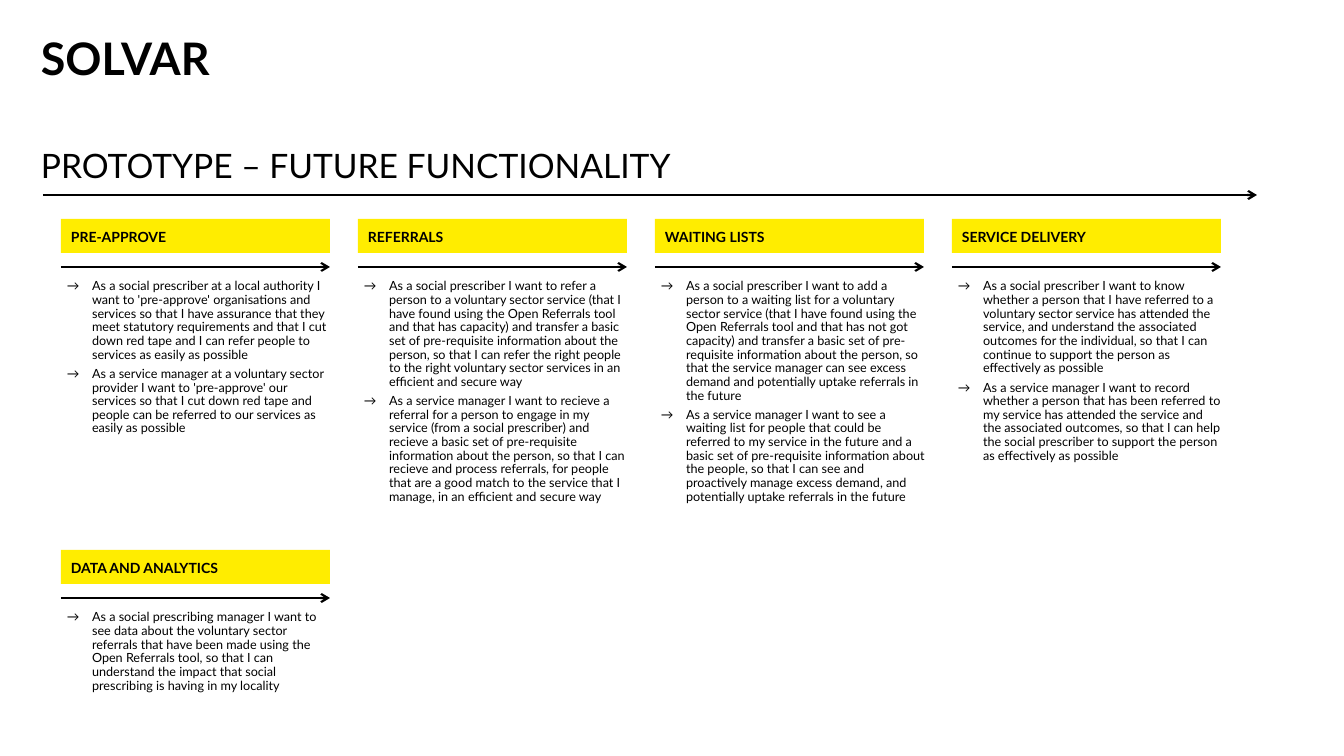
from dataclasses import dataclass

from lxml import etree
from pptx import Presentation
from pptx.dml.color import RGBColor
from pptx.enum.shapes import MSO_CONNECTOR, MSO_SHAPE
from pptx.oxml.ns import qn
from pptx.util import Emu, Pt

RECTANGLE = MSO_SHAPE.RECTANGLE
STRAIGHT = MSO_CONNECTOR.STRAIGHT
PIXELS_PER_INCH = 100.8
FONT = "Lato"
COLOURS = {"ink": "000000", "band": "FFED00"}

GRID_LEFT, GRID_TOP = 61, 219
COLUMN_PITCH, ROW_PITCH = 297, 331
COLUMNS = 4
BAND_WIDTH, BAND_HEIGHT = 269, 34


@dataclass(frozen=True)
class Theme:
    """A functional area and its user stories."""
    heading: str
    stories: tuple[str, ...]


THEMES = (
    Theme("PRE-APPROVE", (
        "As a social prescriber at a local authority I want to 'pre-approve' organisations and "
        "services so that I have assurance that they meet statutory requirements and that I cut "
        "down red tape and I can refer people to services as easily as possible",
        "As a service manager at a voluntary sector provider I want to 'pre-approve' our services "
        "so that I cut down red tape and people can be referred to our services as easily as "
        "possible",
    )),
    Theme("REFERRALS", (
        "As a social prescriber I want to refer a person to a voluntary sector service (that I "
        "have found using the Open Referrals tool and that has capacity) and transfer a basic set "
        "of pre-requisite information about the person, so that I can refer the right people to "
        "the right voluntary sector services in an efficient and secure way",
        "As a service manager I want to recieve a referral for a person to engage in my service "
        "(from a social prescriber) and recieve a basic set of pre-requisite information about "
        "the person, so that I can recieve and process referrals, for people that are a good "
        "match to the service that I manage, in an efficient and secure way",
    )),
    Theme("WAITING LISTS", (
        "As a social prescriber I want to add a person to a waiting list for a voluntary sector "
        "service (that I have found using the Open Referrals tool and that has not got capacity) "
        "and transfer a basic set of pre-requisite information about the person, so that the "
        "service manager can see excess demand and potentially uptake referrals in the future",
        "As a service manager I want to see a waiting list for people that could be referred to "
        "my service in the future and a basic set of pre-requisite information about the people, "
        "so that I can see and proactively manage excess demand, and potentially uptake "
        "referrals in the future",
    )),
    Theme("SERVICE DELIVERY", (
        "As a social prescriber I want to know whether a person that I have referred to a "
        "voluntary sector service has attended the service, and understand the associated "
        "outcomes for the individual, so that I can continue to support the person as "
        "effectively as possible",
        "As a service manager I want to record whether a person that has been referred to my "
        "service has attended the service and the associated outcomes, so that I can help the "
        "social prescriber to support the person as effectively as possible",
    )),
    Theme("DATA AND ANALYTICS", (
        "As a social prescribing manager I want to see data about the voluntary sector referrals "
        "that have been made using the Open Referrals tool, so that I can understand the impact "
        "that social prescribing is having in my locality",
    )),
)


def px(length: float) -> Emu:
    """Turn pixels into EMU."""
    return Emu(round(length * 914400 / PIXELS_PER_INCH))


def colour(name: str) -> RGBColor:
    """Look up a named colour."""
    return RGBColor.from_string(COLOURS[name])


def add_bullet(para) -> None:
    """Give a paragraph a hanging arrow bullet."""
    properties = para._p.get_or_add_pPr()
    properties.set("marL", "228600")
    properties.set("indent", "-228600")
    etree.SubElement(properties, qn("a:buFont")).set("typeface", FONT)
    etree.SubElement(properties, qn("a:buChar")).set("char", "→")


def add_text(page, left: int, top: int, width: int, height: int, *texts: str, size: int,
             bold: bool = False, before: int = 10, bullets: bool = False) -> None:
    """Add a text box with one paragraph for each text."""
    box = page.shapes.add_textbox(px(left), px(top), px(width), px(height))
    frame = box.text_frame
    frame.word_wrap = True
    for index, text in enumerate(texts):
        para = frame.add_paragraph() if index else frame.paragraphs[0]
        para.line_spacing = 0.9
        para.space_before = Pt(before)
        if bullets:
            add_bullet(para)
        span = para.add_run()
        span.text = text
        span.font.name = FONT
        span.font.size = Pt(size)
        span.font.bold = bold
        span.font.color.rgb = colour("ink")


def add_arrow(page, left: int, top: int, width: int) -> None:
    """Add a horizontal arrow that points right."""
    arrow = page.shapes.add_connector(STRAIGHT, px(left), px(top), px(left + width), px(top))
    arrow.line.color.rgb = colour("ink")
    arrow.line.width = Pt(1.5)
    etree.SubElement(arrow.line._get_or_add_ln(), qn("a:tailEnd")).set("type", "arrow")
    etree.SubElement(arrow._element.spPr, qn("a:effectLst"))


def add_theme(page, theme: Theme, left: int, top: int) -> None:
    """Add a heading band, its arrow and the stories below."""
    add_arrow(page, left, top + 48, BAND_WIDTH)
    band = page.shapes.add_shape(RECTANGLE, px(left), px(top), px(BAND_WIDTH), px(BAND_HEIGHT))
    band.shadow.inherit = False
    band.fill.solid()
    band.fill.fore_color.rgb = colour("band")
    band.line.fill.background()
    add_text(page, left, top + 6, 281, 29, theme.heading, size=10, bold=True)
    add_text(page, left - 4, top + 56, 285, 107, *theme.stories, size=9, before=4, bullets=True)


def main() -> None:
    """Build and save the deck."""
    deck = Presentation()
    deck.slide_width, deck.slide_height = px(1344), px(756)
    page = deck.slides.add_slide(deck.slide_layouts[6])
    add_text(page, 31, 32, 997, 41, "SOLVAR", size=32, bold=True)
    add_arrow(page, 43, 195, 1214)
    add_text(page, 31, 144, 715, 41, "PROTOTYPE – FUTURE FUNCTIONALITY", size=24)
    for index, theme in enumerate(THEMES):
        row, column = divmod(index, COLUMNS)
        add_theme(page, theme, GRID_LEFT + column * COLUMN_PITCH, GRID_TOP + row * ROW_PITCH)
    deck.save("out.pptx")


main()
